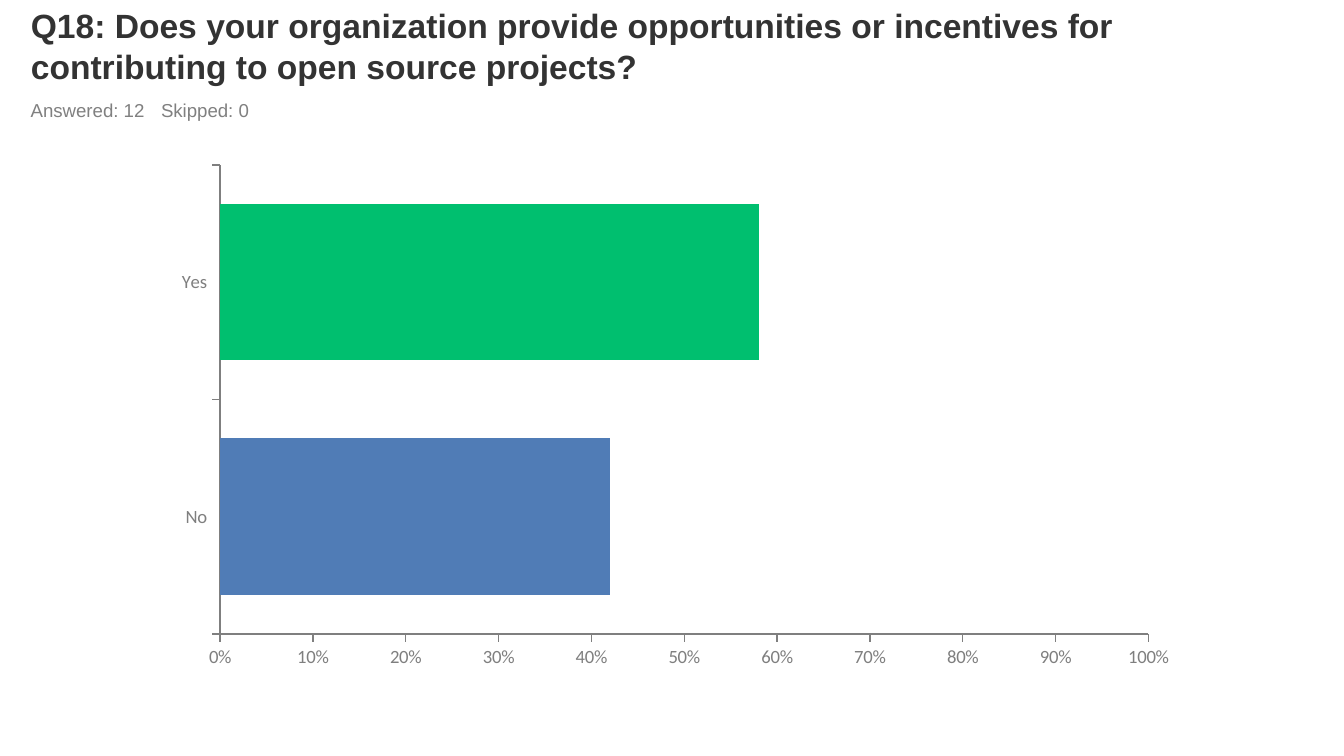
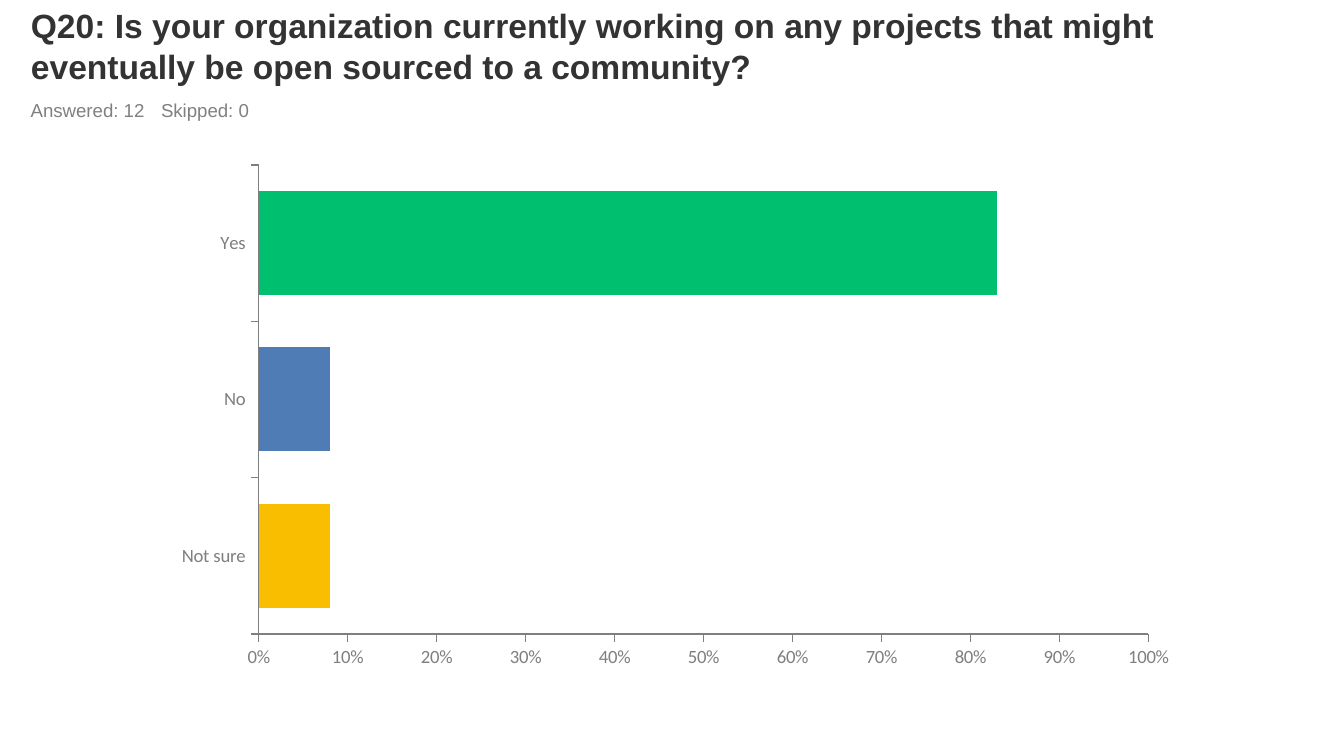
from dataclasses import dataclass

from lxml.etree import SubElement
from pptx import Presentation
from pptx.chart.data import CategoryChartData
from pptx.dml.color import RGBColor
from pptx.enum.chart import XL_CHART_TYPE, XL_TICK_LABEL_POSITION, XL_TICK_MARK
from pptx.enum.text import MSO_ANCHOR, MSO_AUTO_SIZE, PP_ALIGN
from pptx.oxml.ns import qn
from pptx.util import Inches, Pt

# Shared style
DARK = "333333"
GRAY = "808080"
AXIS = "7F7F7F"
BARS = ["00BF6F", "507CB6", "F9BE00"]
HEAD = "Arial"
BODY = "Calibri"
LEFT, WIDE = Inches(0.13), Inches(9)


@dataclass
class Poll:
    title: str
    done: int
    skip: int
    votes: dict[str, float]


POLLS = [
    Poll("Q18: Does your organization provide opportunities or incentives for "
         "contributing to open source projects?",
         12, 0, {"Yes": 0.58, "No": 0.42}),
    Poll("Q20: Is your organization currently working on any projects that might "
         "eventually be open sourced to a community?",
         12, 0, {"Yes": 0.83, "No": 0.08, "Not sure": 0.08}),
]


def color(code: str) -> RGBColor:
    return RGBColor.from_string(code)


def style(font, name: str, size: float, code: str, bold: bool = False) -> None:
    font.name, font.size, font.bold = name, Pt(size), bold
    font.color.rgb = color(code)


def write(shape, text: str, size: float, code: str, bold: bool, anchor):
    """Fill a text shape with one left-aligned run."""
    frame = shape.text_frame
    frame.word_wrap = True
    frame.auto_size = MSO_AUTO_SIZE.NONE
    frame.vertical_anchor = anchor
    para = frame.paragraphs[0]
    para.alignment = PP_ALIGN.LEFT
    run = para.add_run()
    run.text = text
    style(run.font, HEAD, size, code, bold)
    return para


def add_head(slide, poll: Poll) -> None:
    # Question
    title = slide.shapes.title
    title.left, title.top = LEFT, Inches(0.09)
    title.width, title.height = WIDE, Inches(0.6)
    write(title, poll.title, 18, DARK, True, MSO_ANCHOR.BOTTOM)

    # Response counts, set apart by a tab stop
    box = slide.shapes.add_textbox(LEFT, Inches(0.69), WIDE, Inches(0.26))
    text = f"Answered: {poll.done}\tSkipped: {poll.skip}"
    para = write(box, text, 10, GRAY, False, MSO_ANCHOR.TOP)
    para.space_before = Pt(2)
    tabs = SubElement(para._p.get_or_add_pPr(), qn("a:tabLst"))
    SubElement(tabs, qn("a:tab"), pos=str(Inches(0.97)), algn="l")


def set_axis(axis) -> None:
    axis.has_major_gridlines = False
    axis.major_tick_mark = XL_TICK_MARK.OUTSIDE
    axis.minor_tick_mark = XL_TICK_MARK.NONE
    axis.format.line.color.rgb = color(AXIS)
    axis.format.line.width = Pt(0.75)
    style(axis.tick_labels.font, BODY, 10, AXIS)


def add_bars(slide, votes: dict[str, float]) -> None:
    data = CategoryChartData()
    data.categories = list(votes)
    data.add_series("Series 1", list(votes.values()))
    chart = slide.shapes.add_chart(
        XL_CHART_TYPE.BAR_CLUSTERED, Inches(1.2), Inches(1.15),
        Inches(7.65), Inches(3.9), data).chart
    chart.has_legend = False
    chart.has_title = False
    style(chart.font, BODY, 18, DARK)

    # Axes: first answer on top, percent scale at the bottom
    cats, vals = chart.category_axis, chart.value_axis
    set_axis(cats)
    set_axis(vals)
    cats.reverse_order = True
    cats.tick_label_position = XL_TICK_LABEL_POSITION.LOW
    vals._element.find(qn("c:crosses")).set("val", "max")
    vals.minimum_scale, vals.maximum_scale = 0, 1
    vals.major_unit = 0.1
    vals.tick_labels.number_format = "0%"
    vals.tick_labels.number_format_is_linked = False

    # Bars: one colour for each answer
    plot = chart.plots[0]
    plot.gap_width, plot.overlap = 50, 100
    plot.vary_by_categories = False
    bars = plot.series[0]
    bars.invert_if_negative = False
    bars.format.fill.solid()
    bars.format.fill.fore_color.rgb = color(BARS[0])
    for i, code in enumerate(BARS[:len(votes)]):
        fill = bars.points[i].format.fill
        fill.solid()
        fill.fore_color.rgb = color(code)


def main() -> None:
    deck = Presentation()
    # Widescreen, 16 to 9
    deck.slide_width = Inches(10)
    deck.slide_height = Inches(10) * 9 // 16
    for poll in POLLS:
        slide = deck.slides.add_slide(deck.slide_layouts[5])
        add_head(slide, poll)
        add_bars(slide, poll.votes)
    deck.save("out.pptx")


if __name__ == "__main__":
    main()
